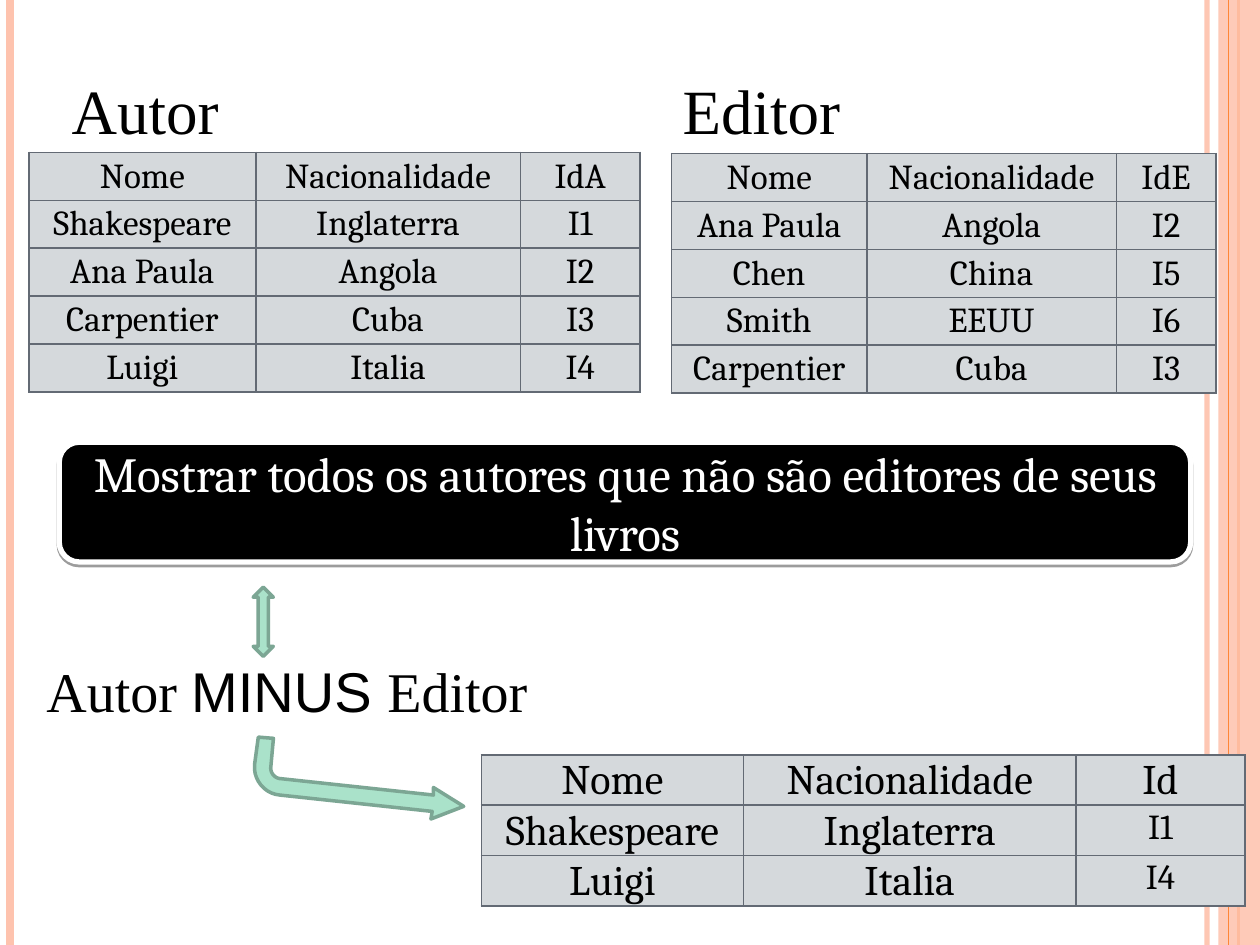
from dataclasses import dataclass

from lxml import etree
from pptx import Presentation
from pptx import util as u
from pptx.dml import color
from pptx.enum import shapes, text
from pptx.oxml import ns

Inches = u.Inches


@dataclass(frozen=True)
class Theme:
    ink: str = "000000"
    paper: str = "FFFFFF"
    peach: str = "FEC3AE"
    orange: str = "FE8637"
    cell: str = "D5D9DC"
    grid: str = "636A74"
    mint: str = "AAE2CA"
    mint_edge: str = "7CA694"
    serif: str = "Cambria"
    roman: str = "Times New Roman"
    sans: str = "Arial"
    heading: int = 36
    formula: int = 32
    question: int = 28
    result: int = 24
    body: int = 20


THEME = Theme()


def rgb(value):
    return color.RGBColor.from_string(value)


def add_xml(parent, tag, **attributes):
    return etree.SubElement(parent, ns.qn(tag), attributes)


def set_alpha(fill_or_line, percent):
    for rgb_color in fill_or_line.iter(ns.qn("a:srgbClr")):
        add_xml(rgb_color, "a:alpha", val=str(percent * 1000))


def write(frame, runs, size, font=THEME.serif, ink=THEME.ink, align=None,
          spacing=None, anchor=text.MSO_ANCHOR.TOP):
    frame.word_wrap = True
    frame.vertical_anchor = anchor
    paragraph = frame.paragraphs[0]
    paragraph.alignment = align
    paragraph.line_spacing = spacing
    for words, run_font in ([(runs, font)] if isinstance(runs, str) else runs):
        run = paragraph.add_run()
        run.text = words
        run.font.size = u.Pt(size)
        run.font.name = run_font
        run.font.color.rgb = rgb(ink)


def paint(shape, fill, edge=None, width=0):
    shape.shadow.inherit = False
    shape.fill.solid()
    shape.fill.fore_color.rgb = rgb(fill)
    if edge:
        shape.line.color.rgb = rgb(edge)
        shape.line.width = u.Pt(width)
    else:
        shape.line.fill.background()


def add_stripe(slide, x, height, ink, width, alpha=None):
    stripe = slide.shapes.add_connector(
        shapes.MSO_CONNECTOR.STRAIGHT, Inches(x), 0, Inches(x), Inches(height))
    stripe.line.color.rgb = rgb(ink)
    stripe.line.width = u.Pt(width)
    properties = stripe._element.spPr
    add_xml(properties, "a:effectLst")
    if alpha:
        set_alpha(properties, alpha)


def add_side_bands(slide, width, height):
    add_stripe(slide, width - 0.42, height, THEME.peach, 3, alpha=93)
    add_stripe(slide, 0.08, height, THEME.peach, 4.5)
    add_stripe(slide, width - 0.17, height, THEME.orange, 1.5)
    band = slide.shapes.add_shape(
        shapes.MSO_SHAPE.RECTANGLE,
        Inches(width - 0.33), 0, Inches(0.33), Inches(height))
    paint(band, THEME.peach)
    set_alpha(band._element.spPr, 87)
    add_stripe(slide, width - 0.25, height, THEME.orange, 0.75)


def add_cell_borders(cell):
    properties = cell._tc.get_or_add_tcPr()
    for side in ("a:lnL", "a:lnR", "a:lnT", "a:lnB"):
        border = add_xml(properties, side, w=str(u.Pt(1)))
        add_xml(add_xml(border, "a:solidFill"), "a:srgbClr", val=THEME.grid)


def add_relation(slide, left, top, columns, row_height, rows,
                 size=THEME.body, id_size=THEME.body, inset=0.06):
    relation = slide.shapes.add_table(
        len(rows), len(columns), Inches(left), Inches(top),
        Inches(sum(columns)), Inches(row_height * len(rows))).table
    for column, width in zip(relation.columns, columns):
        column.width = Inches(width)
    for r, row in enumerate(rows):
        relation.rows[r].height = Inches(row_height)
        for c, value in enumerate(row):
            cell = relation.cell(r, c)
            add_cell_borders(cell)
            cell.fill.solid()
            cell.fill.fore_color.rgb = rgb(THEME.cell)
            cell.margin_left = cell.margin_right = Inches(0.05)
            cell.margin_top, cell.margin_bottom = Inches(inset), 0
            is_id = r > 0 and c == len(row) - 1
            write(cell.text_frame, value, id_size if is_id else size,
                  align=text.PP_ALIGN.CENTER, spacing=0.87)


def add_label(slide, left, top, width, height, runs, size):
    label = slide.shapes.add_textbox(
        Inches(left), Inches(top), Inches(width), Inches(height))
    write(label.text_frame, runs, size, font=THEME.roman)


def add_question(slide, left, top, width, height, words):
    question = slide.shapes.add_shape(
        shapes.MSO_SHAPE.ROUNDED_RECTANGLE,
        Inches(left), Inches(top), Inches(width), Inches(height))
    paint(question, THEME.ink, THEME.paper, 3)
    effects = question._element.spPr.find(ns.qn("a:effectLst"))
    shadow = add_xml(effects, "a:outerShdw", blurRad="0", dist=str(u.Pt(1.6)),
                     dir="5400000", rotWithShape="0")
    add_xml(shadow, "a:srgbClr", val=THEME.ink)
    set_alpha(shadow, 38)
    write(question.text_frame, words, THEME.question, ink=THEME.paper,
          align=text.PP_ALIGN.CENTER, anchor=text.MSO_ANCHOR.MIDDLE)


def add_equivalence_arrow(slide, left, top, width, height):
    arrow = slide.shapes.add_shape(
        shapes.MSO_SHAPE.UP_DOWN_ARROW,
        Inches(left), Inches(top), Inches(width), Inches(height))
    paint(arrow, THEME.mint, THEME.mint_edge, 2)


def bend(start, control_a, control_b, end, steps=10):
    points = []
    for step in range(steps + 1):
        t = step / steps
        weights = ((1 - t) ** 3, 3 * t * (1 - t) ** 2, 3 * t * t * (1 - t), t ** 3)
        corners = (start, control_a, control_b, end)
        points.append(tuple(sum(w * p[axis] for w, p in zip(weights, corners))
                            for axis in (0, 1)))
    return points


def add_result_arrow(slide, left, top):
    outer = bend((0.01, 0.22), (0, 0.34), (0.09, 0.45), (0.21, 0.46))
    head = [(1.42, 0.59), (1.41, 0.65), (1.67, 0.55), (1.43, 0.40), (1.43, 0.46)]
    inner = bend((0.22, 0.33), (0.17, 0.33), (0.13, 0.28), (0.14, 0.23))
    outline = [(0.04, 0), *outer, *head, *inner, (0.16, 0.01)]
    points = [(Inches(left + x), Inches(top + y)) for x, y in outline]
    builder = slide.shapes.build_freeform(*points[0], scale=1.0)
    builder.add_line_segments(points[1:], close=True)
    paint(builder.convert_to_shape(), THEME.mint, THEME.mint_edge, 2)


def main():
    deck = Presentation()
    deck.slide_width, deck.slide_height = Inches(10), Inches(7.5)
    slide = deck.slides.add_slide(deck.slide_layouts[6])
    add_side_bands(slide, 10, 7.5)

    add_relation(slide, 0.23, 1.21, (1.8, 2.1, 0.95), 0.38, [
        ("Nome", "Nacionalidade", "IdA"),
        ("Shakespeare", "Inglaterra", "I1"),
        ("Ana Paula", "Angola", "I2"),
        ("Carpentier", "Cuba", "I3"),
        ("Luigi", "Italia", "I4")])
    add_relation(slide, 5.33, 1.22, (1.55, 1.98, 0.79), 0.38, [
        ("Nome", "Nacionalidade", "IdE"),
        ("Ana Paula", "Angola", "I2"),
        ("Chen", "China", "I5"),
        ("Smith", "EEUU", "I6"),
        ("Carpentier", "Cuba", "I3")])
    add_label(slide, 0.47, 0.52, 1.85, 0.71, "Autor", THEME.heading)
    add_label(slide, 5.32, 0.52, 1.89, 0.71, "Editor", THEME.heading)

    add_question(slide, 0.47, 3.51, 8.98, 0.95,
                 "Mostrar todos os autores que não são editores de seus livros")
    add_relation(slide, 3.82, 5.99, (2.08, 2.64, 1.34), 0.4, [
        ("Nome", "Nacionalidade", "Id"),
        ("Shakespeare", "Inglaterra", "I1"),
        ("Luigi", "Italia", "I4")], size=THEME.result, inset=0.05)
    add_label(slide, 0.27, 5.16, 5.04, 0.64,
              [("Autor ", THEME.roman), ("MINUS ", THEME.sans),
               ("Editor", THEME.roman)], THEME.formula)
    add_result_arrow(slide, 2.01, 5.85)
    add_equivalence_arrow(slide, 2.01, 4.66, 0.16, 0.55)
    deck.save("out.pptx")


if __name__ == "__main__":
    main()
